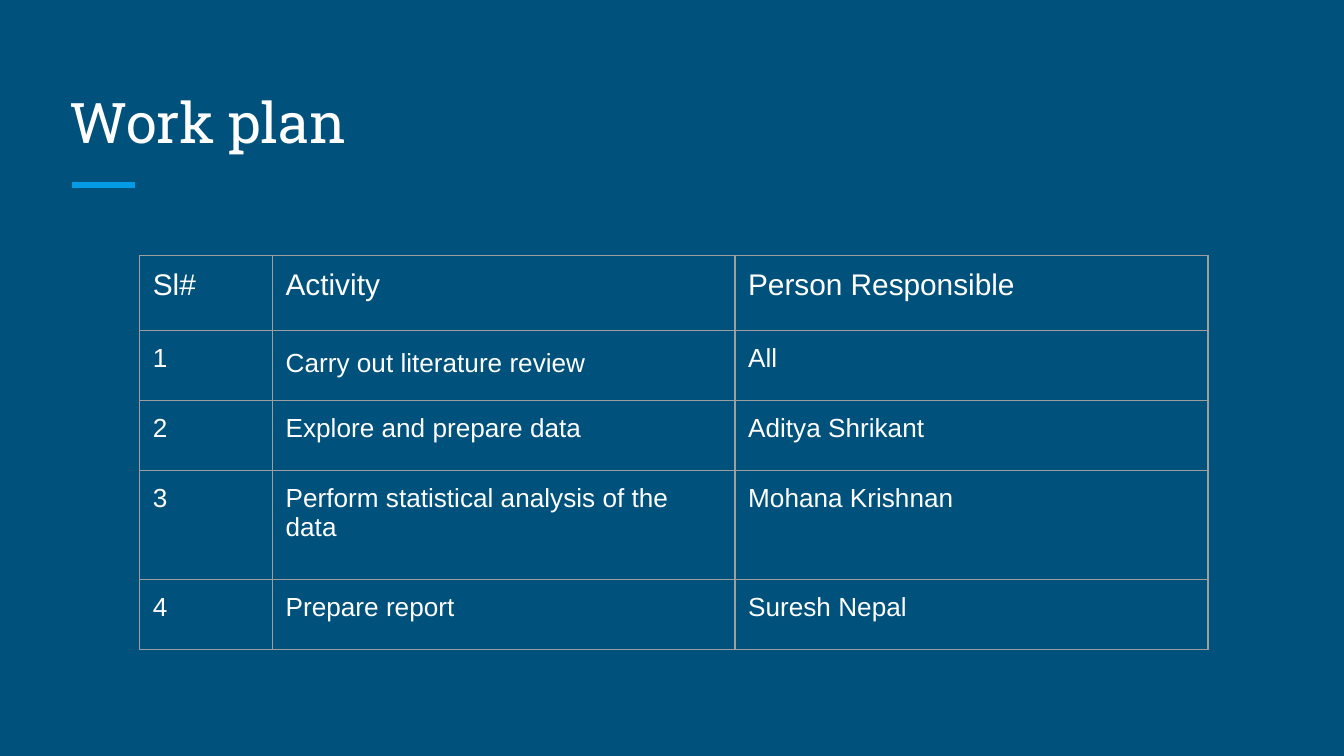
from dataclasses import dataclass

from lxml import etree
from pptx import Presentation
from pptx.dml.color import RGBColor
from pptx.enum import shapes, text
from pptx.oxml import ns
from pptx.util import Cm, Pt

BACKGROUND, ACCENT, GRID, WHITE = "00517C", "039BE5", "9E9E9E", "FFFFFF"
INSET = Cm(0.25)


@dataclass
class Task:
    number: str
    activity: str
    person: str
    height: float = 1.32
    size: int = 14
    activity_spacing: float = 1.0


HEADER = Task("Sl#", "Activity", "Person Responsible", height=1.42, size=16)
TASKS = [
    Task("1", "Carry out literature review", "All", activity_spacing=1.15),
    Task("2", "Explore and prepare data", "Aditya Shrikant"),
    Task("3", "Perform statistical analysis of the data", "Mohana Krishnan", height=2.06),
    Task("4", "Prepare report", "Suresh Nepal"),
]
COLUMN_WIDTHS = [2.51, 8.74, 8.94]


def color(hex_code: str) -> RGBColor:
    return RGBColor.from_string(hex_code)


def write(frame, words: str, *, size: int, font: str = "Arial",
          fill: str = WHITE, spacing: float = 1.0) -> None:
    paragraph = frame.paragraphs[0]
    paragraph.line_spacing = spacing
    run = paragraph.add_run()
    run.text = words
    run.font.size = Pt(size)
    run.font.name = font
    run.font.color.rgb = color(fill)


def set_insets(holder) -> None:
    holder.margin_left = holder.margin_right = INSET
    holder.margin_top = holder.margin_bottom = INSET


def add_borders(cell, hex_code: str, width: float) -> None:
    properties = cell._tc.get_or_add_tcPr()
    for position, side in enumerate(("lnL", "lnR", "lnT", "lnB")):
        border = etree.Element(ns.qn(f"a:{side}"), w=str(Pt(width)))
        fill = etree.SubElement(border, ns.qn("a:solidFill"))
        etree.SubElement(fill, ns.qn("a:srgbClr"), val=hex_code)
        properties.insert(position, border)


def add_title(slide, words: str) -> None:
    title = slide.shapes.add_textbox(Cm(1.07), Cm(1.27), Cm(23.24), Cm(1.9))
    frame = title.text_frame
    frame.word_wrap = True
    frame.vertical_anchor = text.MSO_ANCHOR.BOTTOM
    set_insets(frame)
    write(frame, words, size=30, font="Roboto Slab")


def add_accent(slide) -> None:
    accent = slide.shapes.add_connector(
        shapes.MSO_CONNECTOR.STRAIGHT, Cm(1.36), Cm(3.5), Cm(2.55), Cm(3.5))
    accent.line.color.rgb = color(ACCENT)
    accent.line.width = Pt(3)
    etree.SubElement(accent._element.spPr, ns.qn("a:effectLst"))


def add_plan(slide, tasks: list[Task]) -> None:
    plan = slide.shapes.add_table(
        len(tasks), len(COLUMN_WIDTHS), Cm(2.64), Cm(4.83),
        Cm(sum(COLUMN_WIDTHS)), Cm(sum(task.height for task in tasks))).table
    plan.horz_banding = False
    for column, width in zip(plan.columns, COLUMN_WIDTHS):
        column.width = Cm(width)
    for row, task in zip(plan.rows, tasks):
        row.height = Cm(task.height)
        entries = [(task.number, 1.0), (task.activity, task.activity_spacing),
                   (task.person, 1.0)]
        for cell, (words, spacing) in zip(row.cells, entries):
            set_insets(cell)
            cell.fill.background()
            add_borders(cell, GRID, 0.75)
            write(cell.text_frame, words, size=task.size, spacing=spacing)
    plan.first_row = False


def main() -> None:
    deck = Presentation()
    deck.slide_width, deck.slide_height = Cm(25.4), Cm(14.29)
    slide = deck.slides.add_slide(deck.slide_layouts[6])
    slide.background.fill.solid()
    slide.background.fill.fore_color.rgb = color(BACKGROUND)

    # Heading
    add_accent(slide)
    add_title(slide, "Work plan")

    # Work plan table
    add_plan(slide, [HEADER, *TASKS])

    deck.save("out.pptx")


if __name__ == "__main__":
    main()
